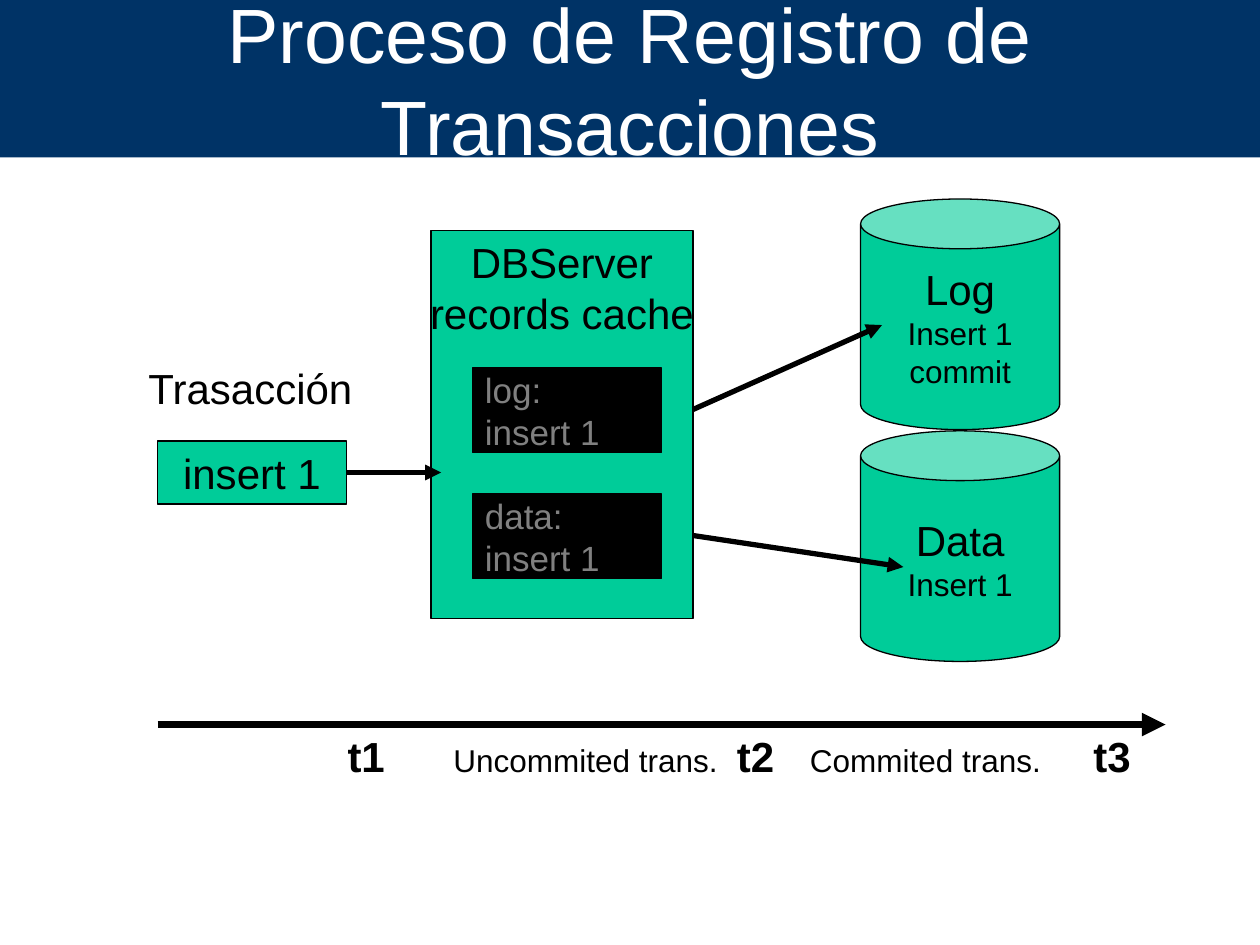
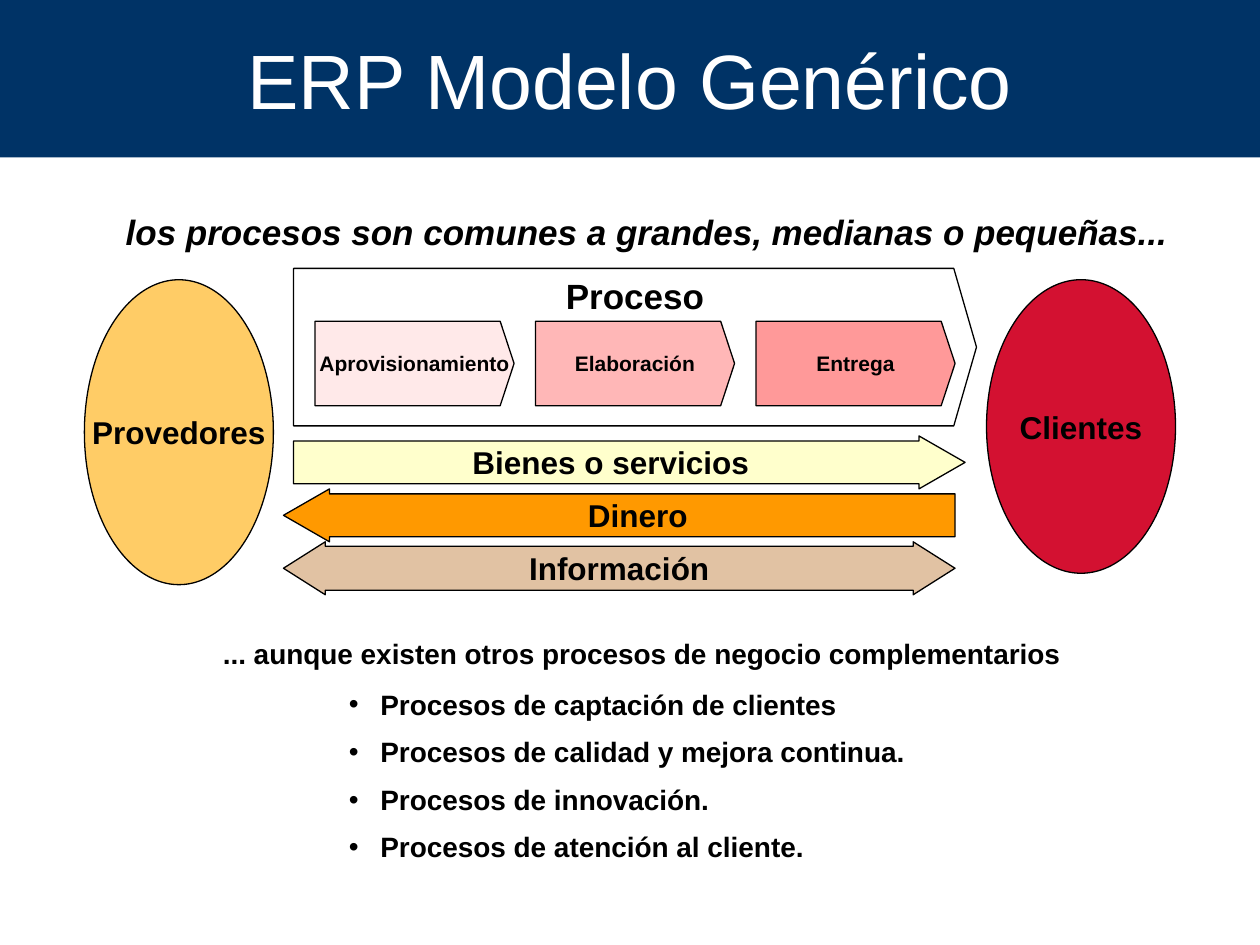
from dataclasses import dataclass
from typing import Any, Optional

import lxml.etree
import pptx
import pptx.dml.color
import pptx.enum.shapes
import pptx.enum.text
import pptx.oxml.ns
import pptx.util

Inches = pptx.util.Inches
Color = pptx.dml.color.RGBColor
Preset = pptx.enum.shapes.MSO_SHAPE
Align = pptx.enum.text.PP_ALIGN
Anchor = pptx.enum.text.MSO_ANCHOR
AutoSize = pptx.enum.text.MSO_AUTO_SIZE

NAVY = Color(0x00, 0x33, 0x66)
WHITE = Color(0xFF, 0xFF, 0xFF)
BLACK = Color(0x00, 0x00, 0x00)
GRAY = Color(0x80, 0x80, 0x80)
GREEN = Color(0x00, 0xCC, 0x99)
RED = Color(0xD3, 0x11, 0x31)
AMBER = Color(0xFF, 0xCC, 0x66)
ORANGE = Color(0xFF, 0x99, 0x00)
CREAM = Color(0xFF, 0xFF, 0xCC)
TAN = Color(0xE1, 0xC2, 0xA3)
PALE_PINK = Color(0xFF, 0xE9, 0xE9)
PINK = Color(0xFF, 0xB7, 0xB7)
ROSE = Color(0xFF, 0x99, 0x99)

FONT = "Arial"


@dataclass(frozen=True)
class Line:
    text: str
    size: float
    bold: bool = False
    italic: bool = False
    color: Any = BLACK
    bullet: bool = False
    spacing: Optional[float] = None


@dataclass(frozen=True)
class Block:
    left: float
    top: float
    width: float
    height: float
    lines: tuple[Line, ...]
    preset: Any = None
    fill: Any = None
    align: Any = Align.CENTER
    anchor: Any = Anchor.MIDDLE
    adjustments: tuple[float, ...] = ()
    wrap: bool = False


@dataclass(frozen=True)
class Arrow:
    start: tuple[float, float]
    end: tuple[float, float]
    weight: float = 3


def set_format(target: Any, values: dict[str, Any]) -> None:
    for name, value in values.items():
        setattr(target, name, value)


def add_bullet(para: Any) -> None:
    properties = para._p.get_or_add_pPr()
    set_format(para, {"level": 2, "space_before": pptx.util.Pt(10)})
    properties.set("marL", str(Inches(1.25)))
    properties.set("indent", str(Inches(-0.25)))
    for tag, name, value in (("a:buFont", "typeface", FONT), ("a:buChar", "char", "•")):
        lxml.etree.SubElement(properties, pptx.oxml.ns.qn(tag)).set(name, value)


def write_lines(shape: Any, block: Block) -> None:
    frame = shape.text_frame
    set_format(frame, {"word_wrap": block.wrap, "vertical_anchor": block.anchor})
    for index, line in enumerate(block.lines):
        para = frame.paragraphs[0] if index == 0 else frame.add_paragraph()
        para.alignment = block.align
        if line.bullet:
            add_bullet(para)
        if line.spacing:
            para.line_spacing = line.spacing
        span = para.add_run()
        span.text = line.text
        set_format(span.font, {"name": FONT, "size": pptx.util.Pt(line.size),
                               "bold": line.bold, "italic": line.italic})
        span.font.color.rgb = line.color


def finish(shape: Any, block: Block) -> None:
    shape.shadow.inherit = False
    if block.fill is None:
        shape.fill.background()
    else:
        shape.fill.solid()
        shape.fill.fore_color.rgb = block.fill
    shape.line.color.rgb = BLACK
    shape.line.width = pptx.util.Pt(0.75)
    write_lines(shape, block)


def add_block(page: Any, block: Block) -> Any:
    place = [Inches(v) for v in (block.left, block.top, block.width, block.height)]
    shape = page.shapes.add_shape(block.preset, *place)
    for index, value in enumerate(block.adjustments):
        shape.adjustments[index] = value
    finish(shape, block)
    return shape


def add_label(page: Any, block: Block) -> None:
    place = [Inches(v) for v in (block.left, block.top, block.width, block.height)]
    box = page.shapes.add_textbox(*place)
    write_lines(box, block)
    box.text_frame.auto_size = AutoSize.SHAPE_TO_FIT_TEXT


def add_pentagon(page: Any, block: Block, point: float) -> None:
    right, bottom = block.left + block.width, block.top + block.height
    corners = [(right - point, block.top), (right, block.top + block.height / 2),
               (right - point, bottom), (block.left, bottom)]
    builder = page.shapes.build_freeform(Inches(block.left), Inches(block.top))
    builder.add_line_segments([(Inches(x), Inches(y)) for x, y in corners], close=True)
    finish(builder.convert_to_shape(), block)


def add_arrow(page: Any, arrow: Arrow) -> Any:
    ends = [Inches(v) for v in (*arrow.start, *arrow.end)]
    connector = page.shapes.add_connector(pptx.enum.shapes.MSO_CONNECTOR.STRAIGHT, *ends)
    connector.line.color.rgb = BLACK
    connector.line.width = pptx.util.Pt(arrow.weight)
    head = lxml.etree.SubElement(connector.line._get_or_add_ln(), pptx.oxml.ns.qn("a:tailEnd"))
    head.set("type", "triangle")
    lxml.etree.SubElement(connector._element.spPr, pptx.oxml.ns.qn("a:effectLst"))
    return connector


def add_page(deck: Any, title: str) -> Any:
    page = deck.slides.add_slide(deck.slide_layouts[5])
    band = page.shapes.title
    set_format(band, {"left": 0, "top": 0, "width": Inches(10), "height": Inches(1.25)})
    band.fill.solid()
    band.fill.fore_color.rgb = NAVY
    write_lines(band, Block(0, 0, 10, 1.25, (Line(title, 44, color=WHITE),), wrap=True))
    band.text_frame.auto_size = AutoSize.NONE
    return page


def build_log_page(deck: Any) -> None:
    page = add_page(deck, "Proceso de Registro de Transacciones")
    add_arrow(page, Arrow((1.25, 5.75), (9.25, 5.75), 4.5))
    for name, left in (("t1", 2.66), ("t2", 5.75), ("t3", 8.58)):
        add_label(page, Block(left, 5.75, 0.51, 0.5, (Line(name, 24, bold=True),),
                              align=Align.LEFT, anchor=Anchor.TOP))
    insert = add_block(page, Block(1.25, 3.5, 1.5, 0.5, (Line("insert 1", 24),),
                                   Preset.RECTANGLE, GREEN))
    add_block(page, Block(3.42, 1.83, 2.08, 3.08,
                          (Line("DBServer", 24), Line("records cache", 24)),
                          Preset.RECTANGLE, GREEN, anchor=Anchor.TOP))
    for name, top in (("log:", 2.92), ("data:", 3.92)):
        lines = tuple(Line(text, 20, color=GRAY) for text in (name, "insert 1"))
        add_block(page, Block(3.75, top, 1.5, 0.67, lines, Preset.RECTANGLE, BLACK,
                              align=Align.LEFT))
    for name, entries, top in (("Log", ("Insert 1", "commit"), 1.58),
                               ("Data", ("Insert 1",), 3.42)):
        lines = (Line(name, 24), *(Line(entry, 18) for entry in entries))
        add_block(page, Block(6.83, top, 1.58, 1.83, lines, Preset.CAN, GREEN,
                              adjustments=(0.25,)))
    for text, size, left, top, width, height in (
        ("Trasacción", 24, 1.08, 2.83, 1.85, 0.5),
        ("Uncommited trans.", 18, 3.5, 5.83, 2.31, 0.4),
        ("Commited trans.", 18, 6.33, 5.83, 2.05, 0.4),
    ):
        add_label(page, Block(left, top, width, height, (Line(text, size),),
                              align=Align.LEFT, anchor=Anchor.TOP))
    add_arrow(page, Arrow((5.5, 3.25), (7, 2.58)))
    add_arrow(page, Arrow((5.5, 4.25), (7.17, 4.5)))
    add_arrow(page, Arrow((2.75, 3.75), (3.5, 3.75))).begin_connect(insert, 3)


def build_erp_page(deck: Any) -> None:
    page = add_page(deck, "ERP Modelo Genérico")
    motto = "los procesos son comunes a grandes, medianas o pequeñas..."
    add_label(page, Block(0.88, 1.62, 8.51, 0.44, (Line(motto, 20, True, True),),
                          anchor=Anchor.TOP))
    add_pentagon(page, Block(2.33, 2.13, 5.42, 1.25, (Line("Proceso", 20, True),),
                             anchor=Anchor.TOP), 0.18)
    steps = (("Aprovisionamiento", PALE_PINK), ("Elaboración", PINK), ("Entrega", ROSE))
    for index, (name, fill) in enumerate(steps):
        add_pentagon(page, Block(2.5 + 1.75 * index, 2.55, 1.58, 0.67,
                                 (Line(name, 12, True),), fill=fill), 0.11)
    for name, left, height, fill in (("Clientes", 7.83, 2.33, RED),
                                     ("Provedores", 0.67, 2.42, AMBER)):
        add_block(page, Block(left, 2.22, 1.5, height, (Line(name, 18, True),),
                              Preset.OVAL, fill))
    flows = (
        ("Bienes o servicios", 2.33, Preset.RIGHT_ARROW, CREAM, (0.81, 0.87)),
        ("Dinero", 2.25, Preset.LEFT_ARROW, ORANGE, (0.81, 0.87)),
        ("Información", 2.25, Preset.LEFT_RIGHT_ARROW, TAN, (0.83, 0.79)),
    )
    for index, (name, left, preset, fill, adjustments) in enumerate(flows):
        add_block(page, Block(left, 3.46 + 0.42 * index, 5.33, 0.42,
                              (Line(name, 18, True),), preset, fill,
                              adjustments=adjustments))
    others = (
        Line("... aunque existen otros procesos de negocio complementarios", 16, True),
        Line("Procesos de captación de clientes", 16, True, bullet=True),
        *(Line(text, 16, True, bullet=True, spacing=0.9) for text in (
            "Procesos de calidad y mejora continua.",
            "Procesos de innovación.",
            "Procesos de atención al cliente.",
        )),
    )
    add_label(page, Block(1.67, 5, 8.08, 1.91, others, align=Align.LEFT,
                          anchor=Anchor.TOP, wrap=True))


def main() -> None:
    deck = pptx.Presentation()
    set_format(deck, {"slide_width": Inches(10), "slide_height": Inches(7.5)})
    build_log_page(deck)
    build_erp_page(deck)
    deck.save("out.pptx")


if __name__ == "__main__":
    main()
